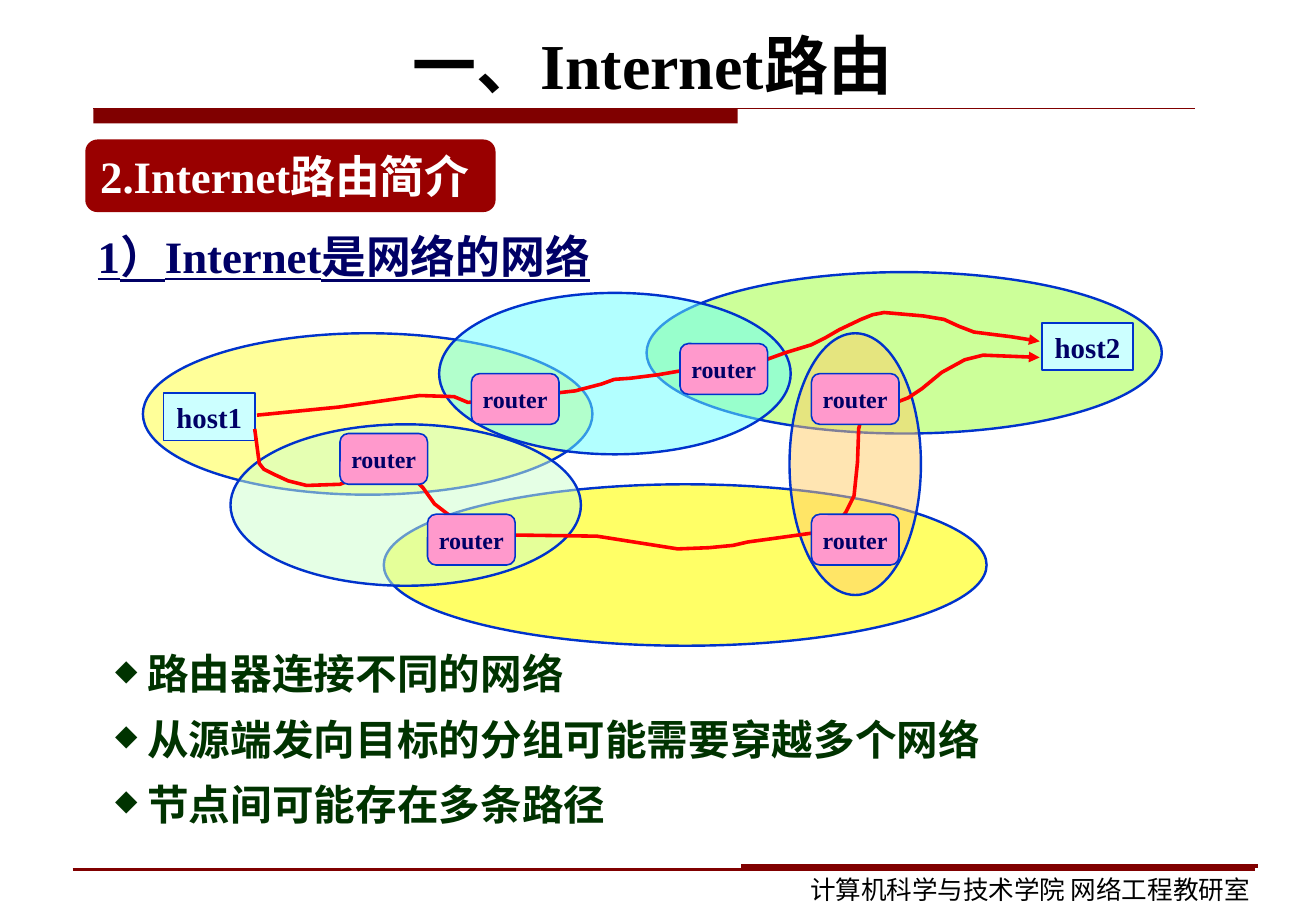
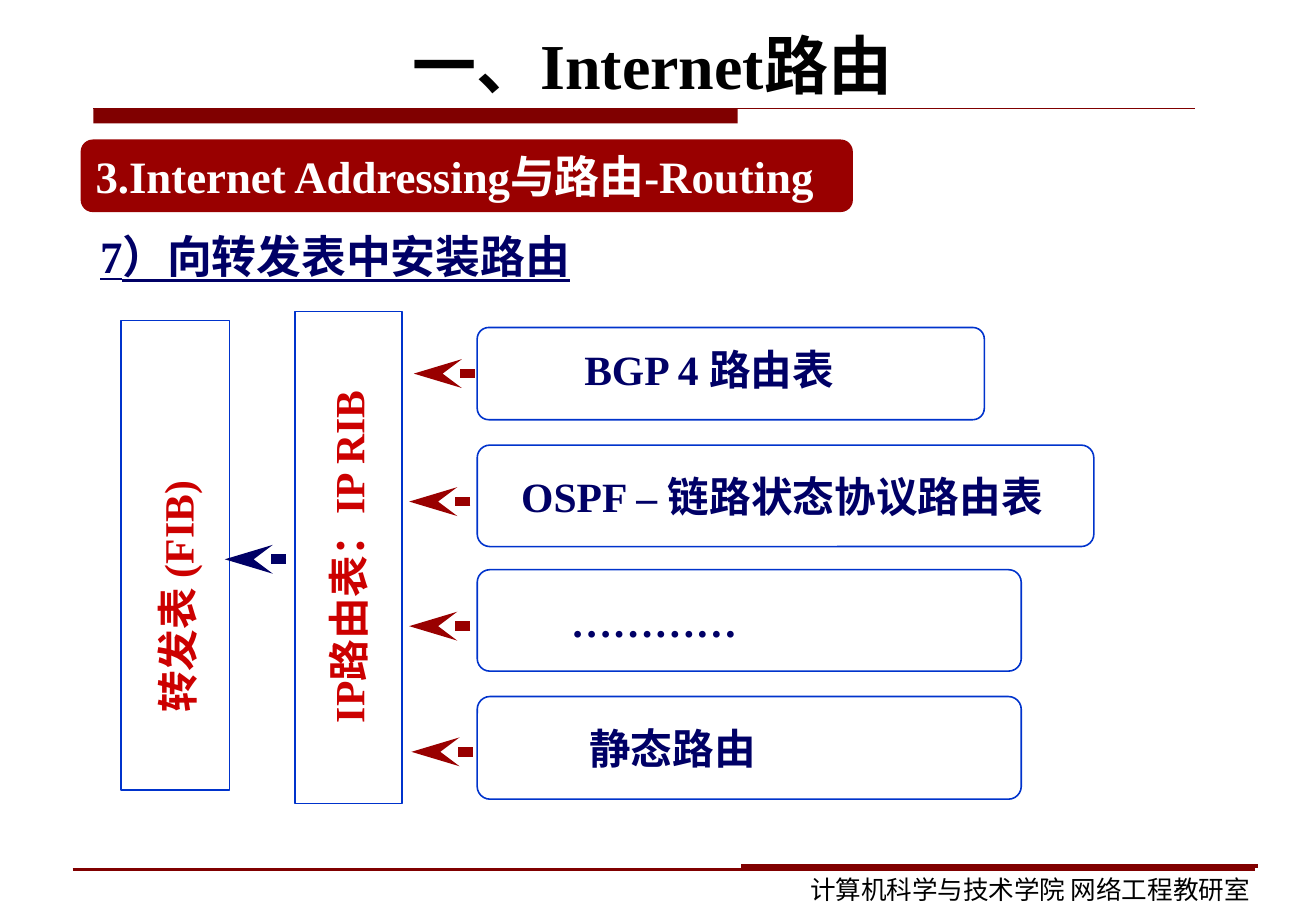
from lxml.etree import SubElement
from pptx import Presentation
from pptx.dml.color import RGBColor
from pptx.enum.shapes import MSO_CONNECTOR, MSO_SHAPE
from pptx.enum.text import MSO_ANCHOR, MSO_AUTO_SIZE, PP_ALIGN
from pptx.oxml.ns import qn
from pptx.util import Inches, Pt

BLACK = RGBColor(0x00, 0x00, 0x00)
WHITE = RGBColor(0xFF, 0xFF, 0xFF)
MAROON = RGBColor(0x80, 0x00, 0x00)
DARK_RED = RGBColor(0x99, 0x00, 0x00)
TEXT_RED = RGBColor(0xCC, 0x00, 0x00)
ROUTE_RED = RGBColor(0xFF, 0x00, 0x00)
NAVY = RGBColor(0x00, 0x00, 0x66)
BLUE = RGBColor(0x00, 0x33, 0xCC)
GREEN = RGBColor(0x00, 0x33, 0x00)
PINK = RGBColor(0xFF, 0x99, 0xCC)
PALE_CYAN = RGBColor(0xCC, 0xFF, 0xFF)
CYAN = RGBColor(0x66, 0xFF, 0xFF)
YELLOW = RGBColor(0xFF, 0xFF, 0x66)
PALE_YELLOW = RGBColor(0xFF, 0xFF, 0x99)
LIME = RGBColor(0xCC, 0xFF, 0x99)
MINT = RGBColor(0xCC, 0xFF, 0xCC)
ORANGE = RGBColor(0xFF, 0xCC, 0x66)

SERIF = "Times New Roman"
RECT, ROUNDED, OVAL = MSO_SHAPE.RECTANGLE, MSO_SHAPE.ROUNDED_RECTANGLE, MSO_SHAPE.OVAL
LEFT, CENTER = PP_ALIGN.LEFT, PP_ALIGN.CENTER
TOP, MIDDLE = MSO_ANCHOR.TOP, MSO_ANCHOR.MIDDLE


def add_box(slide, place, kind=None, fill=None, line=None, weight=1, corner=None,
            text=(), size=26, color=NAVY, font=SERIF, bold=True, underline=None,
            align=LEFT, anchor=TOP, wrap=True, grow=False, inset=(0.1, 0.05),
            left_inset=None, bottom_inset=None, spacing=None, before=0, bullet=None):
    place = [Inches(v) for v in place]
    if kind is None:
        box = slide.shapes.add_textbox(*place)
    else:
        box = slide.shapes.add_shape(kind, *place)
        box.shadow.inherit = False
        if fill is None:
            box.fill.background()
        else:
            box.fill.solid()
            box.fill.fore_color.rgb = fill
        if line is None:
            box.line.fill.background()
        else:
            box.line.color.rgb = line
            box.line.width = Pt(weight)
        if corner is not None:
            box.adjustments[0] = corner
    frame = box.text_frame
    side, edge = (Inches(v) for v in inset)
    frame_format = {
        "word_wrap": wrap, "vertical_anchor": anchor,
        "auto_size": MSO_AUTO_SIZE.SHAPE_TO_FIT_TEXT if grow else MSO_AUTO_SIZE.NONE,
        "margin_left": side if left_inset is None else Inches(left_inset),
        "margin_right": side, "margin_top": edge,
        "margin_bottom": edge if bottom_inset is None else Inches(bottom_inset),
    }
    for name, value in frame_format.items():
        setattr(frame, name, value)
    for i, words in enumerate(text):
        paragraph = frame.add_paragraph() if i else frame.paragraphs[0]
        paragraph.alignment = align
        if spacing:
            paragraph.line_spacing = spacing
        if i and before:
            paragraph.space_before = Pt(before)
        if bullet:
            props = paragraph._p.get_or_add_pPr()
            props.set("marL", str(Inches(0.35)))
            props.set("indent", str(-Inches(0.28)))
            SubElement(SubElement(props, qn("a:buClr")), qn("a:srgbClr")).set("val", str(color))
            SubElement(props, qn("a:buSzPct")).set("val", "70000")
            SubElement(props, qn("a:buChar")).set("char", bullet)
        run = paragraph.add_run()
        run.text = words
        font_format = {"name": font, "size": Pt(size), "bold": bold, "underline": underline}
        for name, value in font_format.items():
            setattr(run.font, name, value)
        run.font.color.rgb = color
    return box


def add_line(slide, points, color, weight, head=None, head_length="med"):
    points = [(Inches(x), Inches(y)) for x, y in points]
    if len(points) == 2:
        line = slide.shapes.add_connector(MSO_CONNECTOR.STRAIGHT, *points[0], *points[1])
        SubElement(line._element.spPr, qn("a:effectLst"))
    else:
        builder = slide.shapes.build_freeform(*points[0])
        builder.add_line_segments(points[1:], close=False)
        line = builder.convert_to_shape()
        line.shadow.inherit = False
        line.fill.background()
    line.line.color.rgb = color
    line.line.width = Pt(weight)
    if head:
        outline = line.line._get_or_add_ln()
        SubElement(outline, qn("a:round"))
        tip = SubElement(outline, qn("a:tailEnd"))
        tip.set("type", head)
        tip.set("len", head_length)


prs = Presentation()
prs.slide_width, prs.slide_height = Inches(29 / 2.54), Inches(20 / 2.54)

pages = []
for banner_place, banner, topic_left, topic in [
    ((0.74, 1.21, 3.56, 0.63), "2.Internet路由简介", 0.75, "1）Internet是网络的网络"),
    ((0.7, 1.21, 6.7, 0.63), "3.Internet Addressing与路由-Routing", 0.77, "7）向转发表中安装路由"),
]:
    page = prs.slides.add_slide(prs.slide_layouts[6])
    pages.append(page)
    add_box(page, (0.61, 0.08, 10.1, 0.94), text=["一、Internet路由"], size=40, color=BLACK,
            align=CENTER, anchor=MIDDLE, inset=(0.11, 0.05))
    add_box(page, (0.81, 0.94, 5.59, 0.13), RECT, MAROON)
    add_line(page, [(0.81, 0.94), (10.37, 0.94)], MAROON, 0.75)
    add_box(page, banner_place, ROUNDED, DARK_RED, corner=0.167, text=[banner], size=28,
            color=WHITE, anchor=MIDDLE, wrap=False, grow=True)
    add_box(page, (topic_left, 1.89, 10.24, 0.62), text=[topic], size=28, underline=True,
            spacing=1.1, grow=True)
    add_line(page, [(0.63, 7.54), (10.89, 7.54)], MAROON, 1.5)
    add_line(page, [(6.43, 7.51), (10.91, 7.51)], MAROON, 2.25)
    add_box(page, (6.93, 7.53, 4.2, 0.37), text=["计算机科学与技术学院 网络工程教研室"], size=16,
            color=BLACK, font="Arial", bold=False, grow=True)

network, tables = pages

add_box(network, (0.83, 5.53, 9.69, 1.71), color=GREEN, spacing=1.1, before=6.5, bullet="◆",
        grow=True, text=["路由器连接不同的网络", "从源端发向目标的分组可能需要穿越多个网络",
                         "节点间可能存在多条路径"])

for place, color, see_through in [
    ((3.33, 4.2, 5.23, 1.4), YELLOW, False),
    ((5.61, 2.36, 4.47, 1.4), LIME, False),
    ((1.24, 2.89, 3.9, 1.4), PALE_YELLOW, False),
    ((3.81, 2.54, 3.05, 1.4), CYAN, True),
    ((2, 3.68, 3.04, 1.4), MINT, True),
    ((6.85, 2.89, 1.14, 2.27), ORANGE, True),
]:
    cloud = add_box(network, place, OVAL, color, BLUE, 1.5)
    if see_through:
        tint = cloud._element.spPr.find(qn("a:solidFill")).find(qn("a:srgbClr"))
        SubElement(tint, qn("a:alpha")).set("val", "50000")

for host, left, top in [("host1", 1.42, 3.41), ("host2", 9.04, 2.8)]:
    add_box(network, (left, top, 0.79, 0.41), RECT, PALE_CYAN, BLUE, text=[host], size=18,
            align=CENTER, anchor=MIDDLE, wrap=False, grow=True, inset=(0.11, 0.06))

upper_route = [
    (2.23, 3.6), (2.94, 3.53), (3.64, 3.43), (3.94, 3.44), (4.06, 3.49), (4.63, 3.43),
    (4.99, 3.39), (5.22, 3.33), (5.33, 3.29), (5.47, 3.28), (5.71, 3.25), (6, 3.2),
    (6.28, 3.21), (6.59, 3.14), (6.81, 3.06), (7.04, 2.99), (7.16, 2.93), (7.28, 2.86),
    (7.47, 2.77), (7.57, 2.73), (7.67, 2.71), (8.01, 2.74), (8.19, 2.77), (8.32, 2.83),
    (8.45, 2.88), (8.77, 2.92), (9.02, 2.96)]
lower_route = [
    (2.21, 3.72), (2.25, 4.02), (2.29, 4.07), (2.37, 4.11), (2.5, 4.17), (2.66, 4.21),
    (2.95, 4.2), (3.05, 4.16), (3.13, 4.09), (3.29, 4), (3.41, 4.02), (3.52, 4.08),
    (3.67, 4.23), (3.77, 4.37), (3.9, 4.47), (4.15, 4.59), (4.47, 4.64), (5.18, 4.65),
    (5.88, 4.76), (6.15, 4.75), (6.36, 4.73), (6.49, 4.7), (6.71, 4.67), (7.14, 4.61),
    (7.26, 4.55), (7.34, 4.44), (7.41, 4.3), (7.44, 4.01), (7.45, 3.72), (7.49, 3.56),
    (7.6, 3.52), (7.75, 3.5), (7.88, 3.45), (8, 3.37), (8.17, 3.23), (8.37, 3.12),
    (8.53, 3.08), (9.02, 3.1)]
for route in (upper_route, lower_route):
    add_line(network, route, ROUTE_RED, 2.25, "triangle")

for left, top in [(2.95, 3.76), (4.09, 3.24), (5.9, 2.98), (3.71, 4.46), (7.04, 3.24), (7.04, 4.46)]:
    add_box(network, (left, top, 0.76, 0.44), ROUNDED, PINK, BLUE, corner=0.167,
            text=["router"], size=15, align=CENTER, anchor=MIDDLE, wrap=False,
            inset=(0.11, 0.06))

for top, width, height, indent, lift, source, arrow_start, arrow_y in [
    (2.84, 4.4, 0.8, 0.9, 0.13, "BGP 4 路由表", 4.12, 3.24),
    (3.86, 5.35, 0.88, 0.35, 0.05, "OSPF – 链路状态协议路由表", 4.08, 4.35),
    (4.94, 4.72, 0.88, 0.78, 0.05, "…………", 4.08, 5.43),
    (6.04, 4.72, 0.89, 0.94, 0.05, "静态路由", 4.1, 6.52),
]:
    add_box(tables, (4.14, top, width, height), ROUNDED, line=BLUE, corner=0.125,
            text=[source], anchor=MIDDLE, left_inset=indent, bottom_inset=lift)
    add_line(tables, [(arrow_start, arrow_y), (arrow_start - 0.53, arrow_y)], DARK_RED, 6,
             "stealth", "lg")

for frame_place, label_place, label in [
    ((2.56, 2.7, 0.93, 4.27), (1.36, 4.46, 3.3, 0.54), "IP路由表：IP RIB"),
    ((1.05, 2.78, 0.94, 4.07), (0.37, 4.86, 2.32, 0.54), "转发表 (FIB)"),
]:
    add_box(tables, frame_place, RECT, line=BLUE)
    upright = add_box(tables, label_place, text=[label], color=TEXT_RED, wrap=False,
                      grow=True, inset=(0.11, 0.06))
    upright.rotation = 270
add_line(tables, [(2.48, 4.85), (1.95, 4.85)], NAVY, 6, "stealth", "lg")

prs.save("out.pptx")
